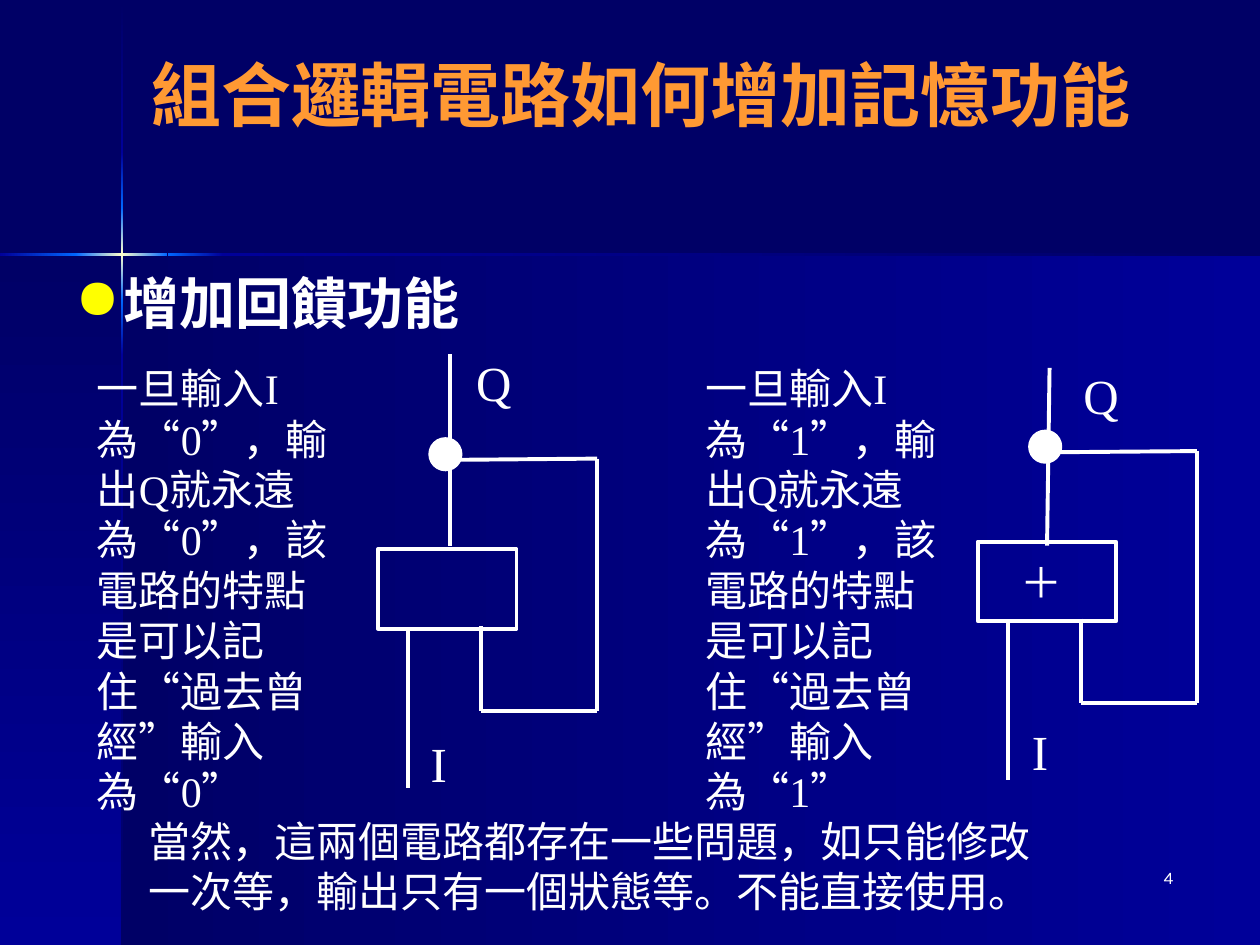
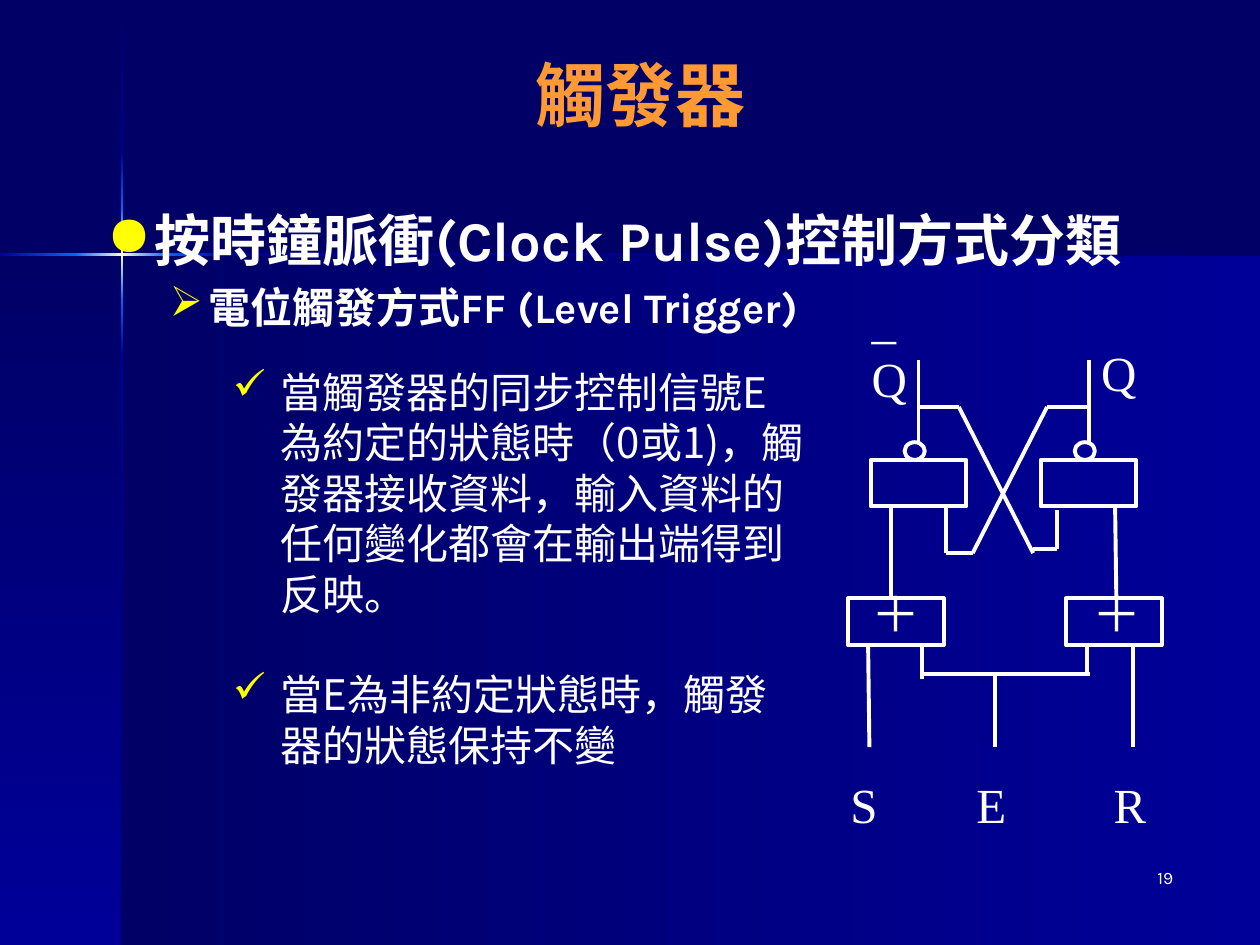
from lxml import etree
from pptx import Presentation
from pptx.dml.color import RGBColor
from pptx.enum.shapes import MSO_CONNECTOR, MSO_SHAPE
from pptx.enum.text import MSO_ANCHOR, PP_ALIGN
from pptx.oxml.ns import qn
from pptx.util import Inches, Pt

RECTANGLE, OVAL = MSO_SHAPE.RECTANGLE, MSO_SHAPE.OVAL
STRAIGHT = MSO_CONNECTOR.STRAIGHT
LEFT, CENTER, RIGHT = PP_ALIGN.LEFT, PP_ALIGN.CENTER, PP_ALIGN.RIGHT
TOP, MIDDLE = MSO_ANCHOR.TOP, MSO_ANCHOR.MIDDLE

COLORS = {"night": "000066", "navy": "000099", "beam": "0066FF", "glow": "FFFFCC",
          "title": "FF9933", "text": "FFFFFF", "bullet": "FFFF00"}
SANS, SERIF, CJK = "Karla", "Times New Roman", "Noto Sans CJK SC"
LINE_HEIGHT = 1.2
WIRE = 2.25

# Shared backdrop: left, top, width, height, gradient colours, vertical?
BACKDROP = [
    (0.97, 2.02, 9.03, 5.48, ("night", "navy"), False),
    (0, 2.02, 0.97, 5.48, ("night", "navy"), True),
    (0.96, 0.01, 0.02, 1.2, ("night", "navy"), True),
    (0.96, 2.82, 0.02, 4.68, ("navy", "night"), True),
    (1.77, 2.01, 8.23, 0.02, ("navy", "night"), False),
    (0.96, 2.38, 0.02, 0.44, ("beam", "navy"), True),
    (0.96, 1.21, 0.02, 0.44, ("navy", "beam"), True),
    (0.96, 1.65, 0.02, 0.73, ("beam", "glow", "beam"), True),
    (0, 2.01, 0.61, 0.02, ("navy", "beam"), False),
    (1.33, 2.01, 0.44, 0.02, ("beam", "navy"), False),
    (0.6, 2.01, 0.73, 0.02, ("beam", "glow", "beam"), False),
]

# Bullet levels: character, left margin, hanging indent
BULLETS = {"topic": ("●", 0.38, 0.38), "method": ("➢", 0.81, 0.31), "detail": ("✓", 1.38, 0.38)}

# Slide with the feedback circuits
FEEDBACK_TITLE = "組合邏輯電路如何增加記憶功能"
FEEDBACK_TOPIC = "增加回饋功能"
FEEDBACK_NOTE = ("一旦輸入I為“{0}”，輸出Q就永遠為“{0}”，"
                 "該電路的特點是可以記住“過去曾經”輸入為“{0}”")
FEEDBACK_LIMITS = ("當然，這兩個電路都存在一些問題，如只能修改一次等，"
                   "輸出只有一個狀態等。不能直接使用。")
# Each circuit: value kept, note left, gate corner, output wire, label places, gate sign
FEEDBACK_CIRCUITS = [
    {"value": 0, "note": 0.67, "gate": (3, 4.36), "output": (3.57, 4.33, 3.57, 2.81),
     "labels": [("Q", 3.68, 2.75), ("I", 3.32, 5.77)], "sign": ""},
    {"value": 1, "note": 5.5, "gate": (7.76, 4.3), "output": (8.31, 4.33, 8.33, 2.92),
     "labels": [("Q", 8.5, 2.85), ("I", 8.09, 5.68)], "sign": "＋"},
]
# Wires measured from the gate corner
FEEDBACK_WIRES = [
    (0.24, 0.63, 0.24, 1.89), (0.82, 0.61, 0.82, 1.28), (0.55, -0.71, 1.74, -0.72),
    (1.74, -0.72, 1.74, 1.28), (1.74, 1.28, 0.82, 1.28),
]

# Slide with the level-triggered flip-flop
TRIGGER_TITLE = "觸發器"
TRIGGER_TOPICS = [("按時鐘脈衝(Clock Pulse)控制方式分類", "topic", 32),
                  ("電位觸發方式FF (Level Trigger)", "method", 24)]
TRIGGER_DETAILS = [
    "當觸發器的同步控制信號E為約定的狀態時（0或1)，觸發器接收資料，"
    "輸入資料的任何變化都會在輸出端得到反映。",
    "當E為非約定狀態時，觸發器的狀態保持不變",
]
GATE_SIZE = (0.76, 0.37)
OUTPUT_GATES = [6.91, 8.26]
INPUT_GATES = [(6.73, 6.82), (8.46, 8.57)]  # gate left, sign left
TRIGGER_WIRES = [
    # outputs and cross-coupling
    (7.29, 3.51, 7.29, 2.86), (8.64, 3.51, 8.64, 2.86),
    (7.29, 3.23, 7.61, 3.23), (7.61, 3.23, 8.2, 4.39), (8.2, 4.36, 8.39, 4.36),
    (8.39, 4.05, 8.39, 4.36), (8.64, 3.23, 8.31, 3.23), (8.31, 3.23, 7.72, 4.39),
    (7.72, 4.39, 7.51, 4.39), (7.51, 4.39, 7.51, 4.02),
    # between the two rows of gates
    (7.07, 4.02, 7.07, 4.75), (8.85, 4.02, 8.86, 4.75),
    # inputs S, E, R
    (6.89, 5.12, 6.9, 5.93), (8.99, 5.1, 8.99, 5.93), (7.32, 5.12, 7.32, 5.39),
    (7.32, 5.35, 8.65, 5.35), (8.63, 5.12, 8.63, 5.35), (7.9, 5.35, 7.9, 5.93),
]
TRIGGER_LABELS = [("S", 6.65, 6.1), ("E", 7.65, 6.1), ("R", 8.74, 6.1),
                  ("Q", 8.64, 2.67), ("_\nQ", 6.82, 2.25)]


def rgb(name):
    return RGBColor.from_string(COLORS[name])


def add_bullet(paragraph, level):
    character, margin, hanging = BULLETS[level]
    properties = paragraph._p.get_or_add_pPr()
    properties.set("marL", str(Inches(margin)))
    properties.set("indent", str(-Inches(hanging)))
    color = etree.SubElement(properties, qn("a:buClr"))
    etree.SubElement(color, qn("a:srgbClr"), val=COLORS["bullet"])
    etree.SubElement(properties, qn("a:buChar"), char=character)


def style(paragraph, size, font=SERIF, color="text", bold=False, align=LEFT, fixed=True):
    paragraph.alignment = align
    if fixed:
        paragraph.line_spacing = Pt(size * LINE_HEIGHT)
    for run in paragraph.runs:
        run.font.name, run.font.size, run.font.bold = font, Pt(size), bold
        run.font.color.rgb = rgb(color)
        east_asian = etree.SubElement(run._r.get_or_add_rPr(), qn("a:ea"))
        east_asian.set("typeface", CJK)


def add_frame(slide, left, top, width, height, wrap=True, anchor=TOP):
    box = slide.shapes.add_textbox(Inches(left), Inches(top), Inches(width), Inches(height))
    box.text_frame.word_wrap = wrap
    box.text_frame.vertical_anchor = anchor
    return box.text_frame


def add_text(slide, text, place, size, wrap=True, anchor=TOP, **look):
    frame = add_frame(slide, *place, wrap=wrap, anchor=anchor)
    frame.text = text
    for paragraph in frame.paragraphs:
        style(paragraph, size, **look)
    return frame


def add_bullets(slide, items, place, gap, **look):
    frame = add_frame(slide, *place)
    for index, (text, level, size) in enumerate(items):
        paragraph = frame.add_paragraph() if index else frame.paragraphs[0]
        paragraph.text = text
        add_bullet(paragraph, level)
        if index:
            paragraph.space_before = Pt(gap)
        style(paragraph, size, **look)


def add_labels(slide, labels):
    for text, left, top in labels:
        add_text(slide, text, (left, top, 0.48, 0.57), 28, wrap=False, fixed=False)


def add_outline(slide, kind, left, top, width, height, filled=False, weight=WIRE):
    shape = slide.shapes.add_shape(kind, Inches(left), Inches(top), Inches(width), Inches(height))
    shape.shadow.inherit = False
    if filled:
        shape.fill.solid()
        shape.fill.fore_color.rgb = rgb("text")
    else:
        shape.fill.background()
    shape.line.color.rgb = rgb("text")
    shape.line.width = Pt(weight)


def add_wires(slide, wires, left=0, top=0):
    for x1, y1, x2, y2 in wires:
        wire = slide.shapes.add_connector(STRAIGHT, Inches(left + x1), Inches(top + y1),
                                          Inches(left + x2), Inches(top + y2))
        wire.line.color.rgb = rgb("text")
        wire.line.width = Pt(WIRE)
        etree.SubElement(wire._element.spPr, qn("a:effectLst"))


def add_gradient(slide, left, top, width, height, colors, vertical):
    shape = slide.shapes.add_shape(RECTANGLE, Inches(left), Inches(top),
                                   Inches(width), Inches(height))
    shape.shadow.inherit = False
    shape.line.fill.background()
    shape.fill.gradient()
    shape.fill.gradient_angle = 270 if vertical else 0
    stops = shape._element.spPr.find(".//" + qn("a:gsLst"))
    for stop in list(stops):
        stops.remove(stop)
    for index, color in enumerate(colors):
        position = index * 100000 // (len(colors) - 1)
        stop = etree.SubElement(stops, qn("a:gs"), pos=str(position))
        etree.SubElement(stop, qn("a:srgbClr"), val=COLORS[color])


def start_slide(presentation, title, number):
    slide = presentation.slides.add_slide(presentation.slide_layouts[6])
    slide.background.fill.solid()
    slide.background.fill.fore_color.rgb = rgb("night")
    for band in BACKDROP:
        add_gradient(slide, *band)
    add_text(slide, str(number), (7.33, 6.83, 2.08, 0.5), 10, font=SANS, align=RIGHT, fixed=False)
    add_text(slide, title, (0.5, 0.33, 9.17, 0.83), 40, anchor=MIDDLE,
             font=SANS, color="title", bold=True, align=CENTER)
    return slide


def build_feedback(presentation):
    slide = start_slide(presentation, FEEDBACK_TITLE, 4)
    add_bullets(slide, [(FEEDBACK_TOPIC, "topic", 32)], (0.5, 2.08, 9.07, 4.82), 0,
                font=SANS, bold=True)
    for circuit in FEEDBACK_CIRCUITS:
        left, top = circuit["gate"]
        add_outline(slide, RECTANGLE, left, top, 1.1, 0.63)
        add_wires(slide, [circuit["output"]])
        add_wires(slide, FEEDBACK_WIRES, left, top)
        add_outline(slide, OVAL, left + 0.41, top - 0.88, 0.25, 0.25, filled=True, weight=1.5)
        add_labels(slide, circuit["labels"])
        if circuit["sign"]:
            frame = add_text(slide, circuit["sign"], (left + 0.24, top + 0.12, 0.5, 0.4), 24,
                             wrap=False)
            frame.margin_top = frame.margin_bottom = 0
        add_text(slide, FEEDBACK_NOTE.format(circuit["value"]),
                 (circuit["note"], 2.83, 2.08, 3.7), 24)
    add_text(slide, FEEDBACK_LIMITS, (1.08, 6.42, 7.33, 0.91), 24)


def build_trigger(presentation):
    slide = start_slide(presentation, TRIGGER_TITLE, 19)
    add_bullets(slide, TRIGGER_TOPICS, (0.75, 1.58, 8.67, 5.08), 5, font=SANS, bold=True)
    for left in OUTPUT_GATES:
        add_outline(slide, RECTANGLE, left, 3.65, *GATE_SIZE)
        add_outline(slide, OVAL, left + 0.27, 3.51, 0.16, 0.14)
    for left, sign_left in INPUT_GATES:
        add_outline(slide, RECTANGLE, left, 4.75, *GATE_SIZE)
        add_text(slide, "＋", (sign_left, 4.58, 0.58, 0.57), 28, wrap=False)
    add_wires(slide, TRIGGER_WIRES)
    add_labels(slide, TRIGGER_LABELS)
    add_bullets(slide, [(text, "detail", 24) for text in TRIGGER_DETAILS],
                (0.75, 2.86, 5.76, 3.33), 28.8, font=CJK)


def main():
    presentation = Presentation()
    presentation.slide_width, presentation.slide_height = Inches(10), Inches(7.5)
    build_feedback(presentation)
    build_trigger(presentation)
    presentation.save("out.pptx")


if __name__ == "__main__":
    main()
